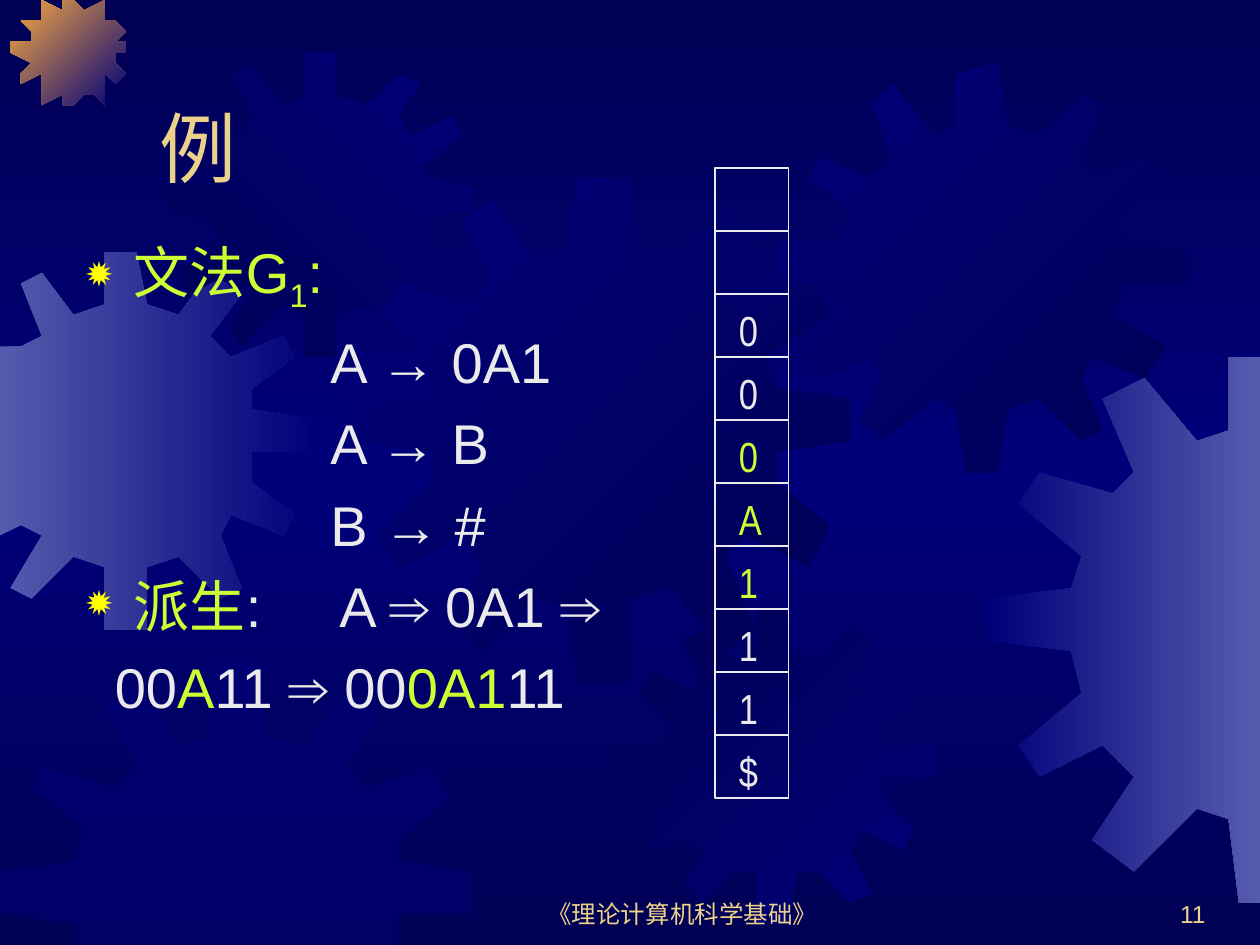
"""Build the slide with a grammar, its derivation and a pushdown stack."""
from copy import deepcopy
from dataclasses import dataclass

from lxml import etree
from pptx import Presentation
from pptx import util as u
from pptx.dml.color import RGBColor
from pptx.enum import shapes, text
from pptx.oxml.ns import qn

COLUMNS, ROWS = 120, 90
UNIT = u.Inches(10) // COLUMNS

NIGHT = RGBColor(0x00, 0x00, 0x54)
NAVY = RGBColor(0x00, 0x00, 0x7A)
LAVENDER = RGBColor(0x55, 0x5B, 0xAD)
ORANGE = RGBColor(0xFC, 0xAB, 0x40)
SAND = RGBColor(0xEB, 0xD1, 0x89)
LIME = RGBColor(0xCC, 0xFF, 0x33)
PALE = RGBColor(0xEA, 0xEA, 0xEA)

GEAR_SPAN = 401
GEAR_OUTLINE = [
    (255, 67), (223, 59), (219, 0), (180, 3), (177, 59), (151, 68),
    (113, 20), (87, 35), (112, 88), (94, 106), (38, 85), (25, 107),
    (68, 145), (61, 174), (1, 178), (0, 210), (61, 219), (67, 246),
    (22, 287), (38, 312), (88, 288), (107, 307), (81, 355), (106, 375),
    (151, 332), (177, 340), (183, 400), (222, 401), (226, 339), (259, 330),
    (299, 374), (325, 358), (299, 306), (316, 284), (368, 309), (384, 281),
    (336, 246), (342, 216), (401, 210), (400, 180), (341, 171), (335, 148),
    (383, 114), (367, 87), (313, 109), (296, 91), (323, 41), (297, 25),
]


@dataclass(frozen=True)
class Gear:
    """A gear on the grid, with a gradient or a half transparent fill."""
    column: float
    row: float
    size: float
    start: RGBColor
    end: RGBColor | None = None
    angle: int = 0


@dataclass(frozen=True)
class Run:
    """A piece of text with one format."""
    text: str
    color: RGBColor = PALE
    baseline: int = 0
    spacing: int = 0


@dataclass(frozen=True)
class Line:
    """A paragraph of runs with its left margin in inches."""
    runs: list[Run]
    margin: float = 0
    bullet: bool = False


GEARS = [
    Gear(-5.9, 24.1, 35.5, LAVENDER, NAVY),
    Gear(1.4, -0.5, 11, ORANGE, NAVY, 45),
    Gear(15.6, 4.7, 29.8, NIGHT, NAVY, 315),
    Gear(33.2, 16.7, 48.2, NAVY, NIGHT, 45),
    Gear(0, 63, 44.9, NAVY),
    Gear(58.9, 58.1, 29.8, NIGHT, NAVY, 45),
    Gear(74.2, 6.4, 38.4, NAVY, NIGHT, 45),
    Gear(93.8, 33.5, 52.6, NAVY, LAVENDER),
]
GRAMMAR = [
    Line([Run("文法G", LIME), Run("1", LIME, baseline=-25000), Run(":", LIME)], 0.38, True),
    *[Line([Run(rule)], 1.94) for rule in ("A → 0A1", "A → B", "B → #")],
    Line([Run("派生", LIME), Run(":"), Run(" ", spacing=3560), Run("A ⇒ 0A1 ⇒")], 0.38, True),
    Line([Run("00"), Run("A", LIME), Run("11 ⇒ 00"), Run("0A1", LIME), Run("11")], 0.23),
]
STACK = ["", "", "0", "0", "0", "A", "1", "1", "1", "$"]
STACK_TOP, CELL_HEIGHT = 16, 6
REPLACED = range(4, 7)


def clip(points: list[tuple], axis: int, limit: float, sign: int) -> list[tuple]:
    """Cut a polygon at a limit, keeping the side that sign points to."""
    kept = []
    for before, after in zip(points[-1:] + points[:-1], points):
        inside = [(point[axis] - limit) * sign >= 0 for point in (before, after)]
        if inside[0] != inside[1]:
            share = (limit - before[axis]) / (after[axis] - before[axis])
            kept.append(tuple(b + share * (a - b) for b, a in zip(before, after)))
        if inside[1]:
            kept.append(after)
    return kept


def fill_gradient(fill, start: RGBColor, end: RGBColor, angle: int) -> None:
    """Apply a two colour gradient with a clockwise angle."""
    fill.gradient()
    fill.gradient_angle = -angle % 360
    for stop, color, position in zip(fill.gradient_stops, (start, end), (0, 1)):
        stop.color.rgb = color
        stop.position = position


def paint_background(slide) -> None:
    """Fade the background from dark to navy and back."""
    fill = slide.background.fill
    fill_gradient(fill, NIGHT, NAVY, 90)
    fill.gradient_stops[1].position = 0.5
    stops = slide.element.find(".//" + qn("a:gsLst"))
    last = deepcopy(stops[0])
    last.set("pos", "100000")
    stops.append(last)


def add_gear(slide, gear: Gear) -> None:
    """Draw a gear cut off at the slide's edges."""
    scale = gear.size / GEAR_SPAN
    points = [(gear.column + x * scale, gear.row + y * scale) for x, y in GEAR_OUTLINE]
    for axis, limit, sign in ((0, 0, 1), (0, COLUMNS, -1), (1, 0, 1), (1, ROWS, -1)):
        points = clip(points, axis, limit, sign)
    builder = slide.shapes.build_freeform(*points[0], scale=UNIT)
    builder.add_line_segments(points[1:], close=True)
    shape = builder.convert_to_shape()
    shape.shadow.inherit = False
    shape.line.fill.background()
    if gear.end is not None:
        fill_gradient(shape.fill, gear.start, gear.end, gear.angle)
        return
    shape.fill.solid()
    shape.fill.fore_color.rgb = gear.start
    color = shape.fill._xPr.find(".//" + qn("a:srgbClr"))
    etree.SubElement(color, qn("a:alpha")).set("val", "50000")


def add_bullet(paragraph) -> None:
    """Give a paragraph a yellow star bullet."""
    properties = paragraph._p.get_or_add_pPr()
    color = etree.SubElement(properties, qn("a:buClr"))
    etree.SubElement(color, qn("a:srgbClr")).set("val", "FFFF00")
    etree.SubElement(properties, qn("a:buSzPct")).set("val", "80000")
    etree.SubElement(properties, qn("a:buChar")).set("char", "✹")


def add_text(slide, lines: list[Line], *, area: tuple, size: int, font: str = "Arial",
             align=text.PP_ALIGN.LEFT, anchor=text.MSO_ANCHOR.TOP,
             space_before: int = 0, inset_top: float = 0.05) -> None:
    """Write lines into a box whose area is in columns and rows."""
    frame = slide.shapes.add_textbox(*(round(length * UNIT) for length in area)).text_frame
    frame.word_wrap = True
    frame.vertical_anchor = anchor
    frame.margin_top = u.Inches(inset_top)
    for index, line in enumerate(lines):
        paragraph = frame.add_paragraph() if index else frame.paragraphs[0]
        properties = paragraph._p.get_or_add_pPr()
        properties.set("marL", str(u.Inches(line.margin)))
        if line.bullet:
            properties.set("indent", str(-u.Inches(line.margin)))
            add_bullet(paragraph)
        paragraph.alignment = align
        paragraph.space_before = u.Pt(space_before if index else 0)
        for part in line.runs:
            run = paragraph.add_run()
            run.text = part.text
            run.font.size, run.font.name = u.Pt(size), font
            run.font.color.rgb = part.color
            for name, value in (("baseline", part.baseline), ("spc", part.spacing)):
                if value:
                    run.font._element.set(name, str(value))


def add_cell(slide, index: int, symbol: str) -> None:
    """Draw one stack cell and its symbol."""
    row = STACK_TOP + index * CELL_HEIGHT
    area = (68.1, row, 7, CELL_HEIGHT)
    cell = slide.shapes.add_shape(shapes.MSO_SHAPE.RECTANGLE, *(round(v * UNIT) for v in area))
    cell.shadow.inherit = False
    cell.fill.background()
    cell.line.color.rgb = PALE
    cell.line.width = u.Pt(0.75)
    if symbol:
        color = LIME if index in REPLACED else PALE
        add_text(slide, [Line([Run(symbol, color)])], area=(69.2, row, 5, CELL_HEIGHT),
                 size=24, font="Arial Narrow", inset_top=0.08)


def main() -> None:
    """Build and save the presentation."""
    presentation = Presentation()
    presentation.slide_width, presentation.slide_height = COLUMNS * UNIT, ROWS * UNIT
    slide = presentation.slides.add_slide(presentation.slide_layouts[6])
    paint_background(slide)
    for gear in GEARS:
        add_gear(slide, gear)
    bottom = text.MSO_ANCHOR.BOTTOM
    add_text(slide, [Line([Run("《理论计算机科学基础》", SAND)])], area=(46, 83, 38, 6),
             size=14, align=text.PP_ALIGN.CENTER, anchor=bottom)
    add_text(slide, [Line([Run("11", SAND)])], area=(91, 83, 25, 6),
             size=14, align=text.PP_ALIGN.RIGHT, anchor=bottom)
    add_text(slide, [Line([Run("例", SAND)])], area=(14, 4, 102, 15), size=44, anchor=bottom)
    add_text(slide, GRAMMAR, area=(7, 22, 102, 61), size=32, space_before=8)
    for index, symbol in enumerate(STACK):
        add_cell(slide, index, symbol)
    presentation.save("out.pptx")


if __name__ == "__main__":
    main()
